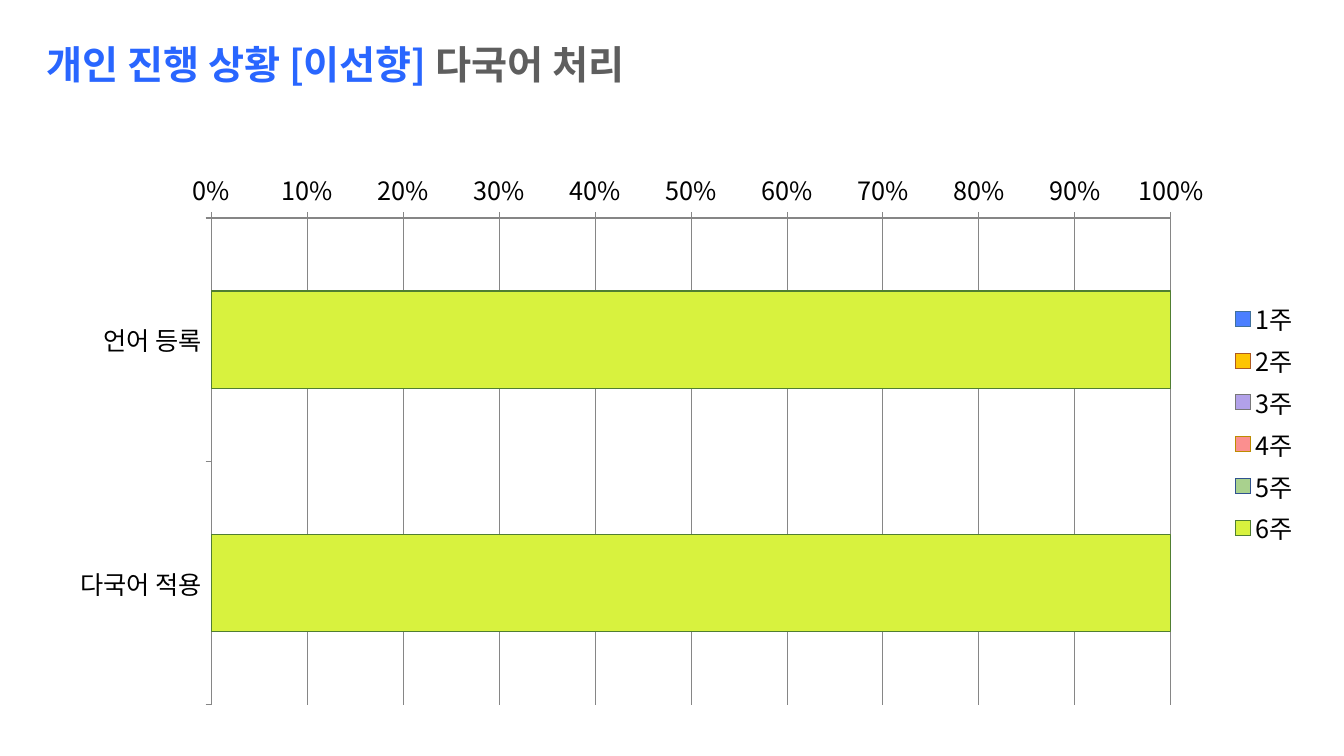
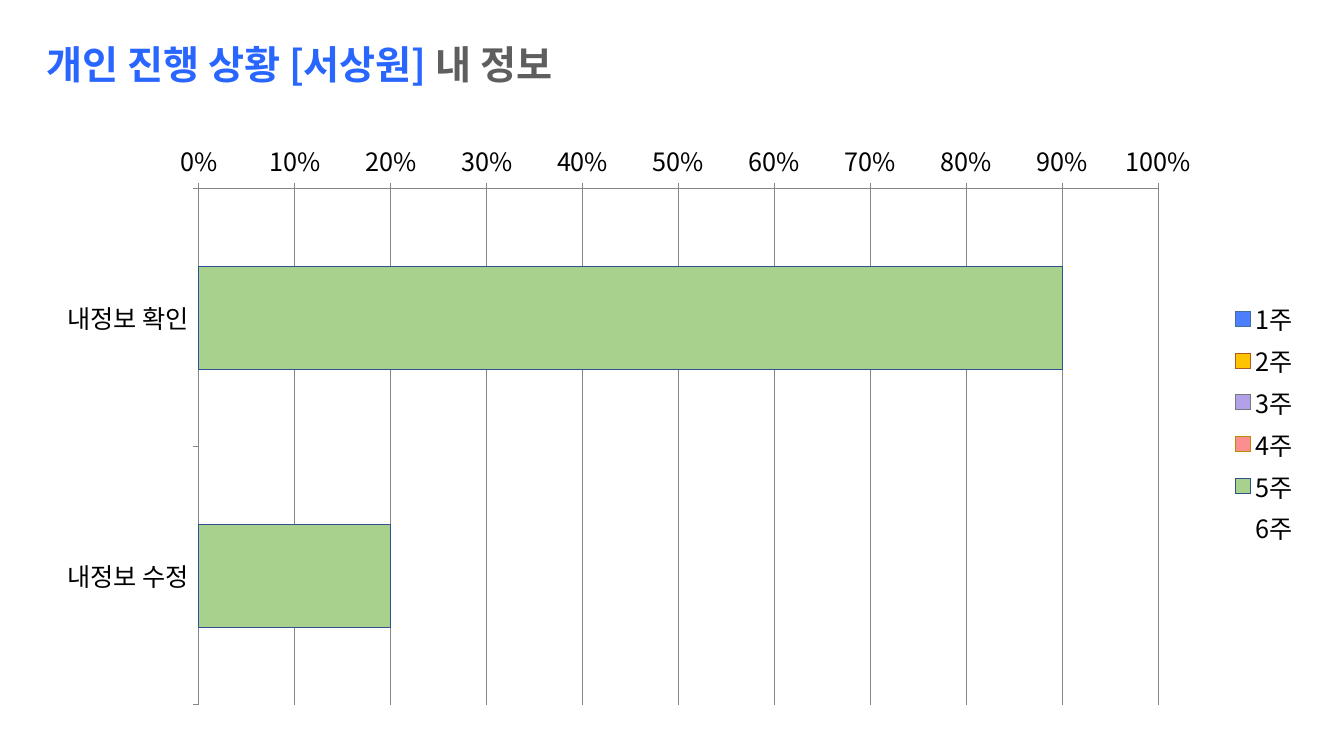
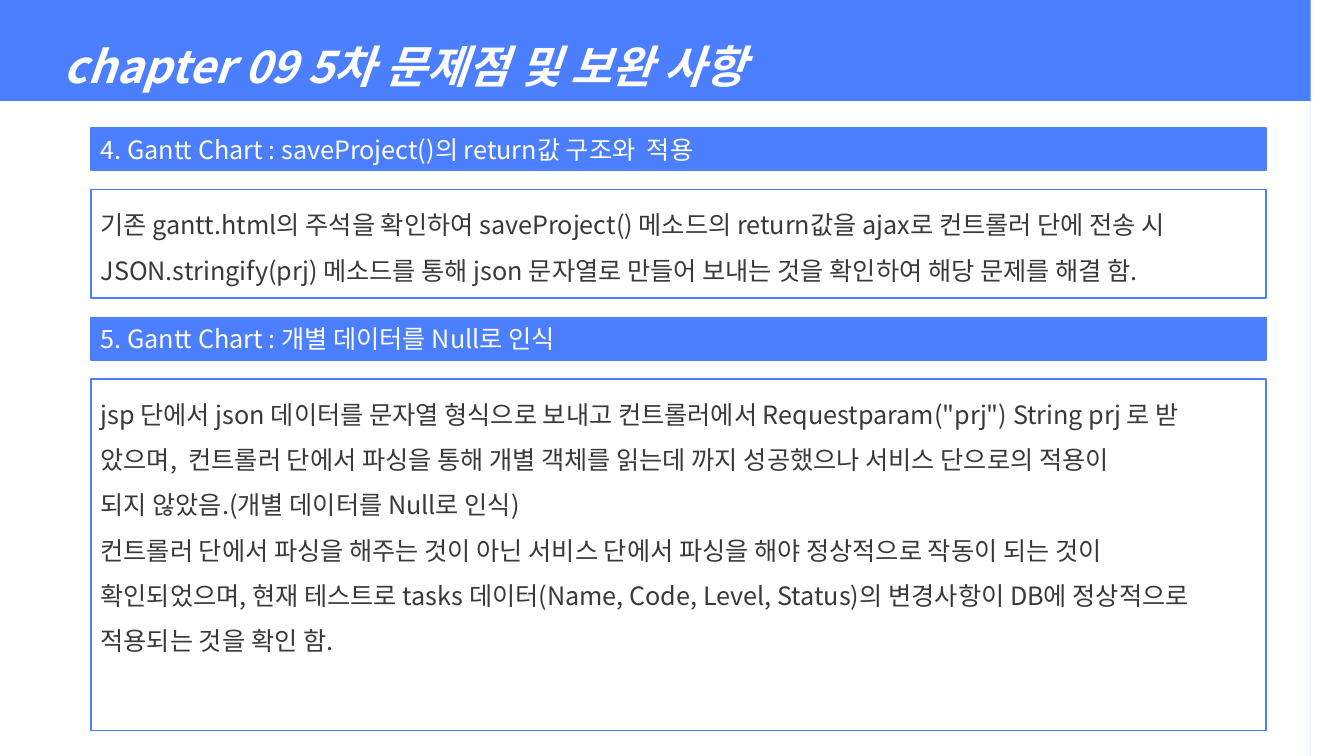
import dataclasses
import math

import lxml.etree
import pptx
import pptx.chart.data
import pptx.dml.color
import pptx.enum.chart
import pptx.enum.shapes
import pptx.enum.text
import pptx.oxml.ns
import pptx.util

SHAPE = pptx.enum.shapes.MSO_SHAPE
ANCHOR = pptx.enum.text.MSO_ANCHOR
WIDTH, HEIGHT = 13.33, 7.5
PERCENT_WIDTH, PERCENT_HEIGHT = WIDTH / 100, HEIGHT / 100


@dataclasses.dataclass(frozen=True)
class Theme:
    font: str = "Noto Sans CJK KR"
    blue: str = "4B7FFF"
    title_blue: str = "2966FF"
    title_gray: str = "5E5E5E"
    ink: str = "3B3838"
    white: str = "FFFFFF"
    black: str = "000000"
    axis: str = "868686"
    # Fill and outline of each week
    weeks: tuple = (
        ("4B7FFF", "41719C"), ("FEC402", "AE5A21"), ("B2A1E9", "787878"),
        ("FB8F8F", "BC8C00"), ("A9D18E", "2F528F"), ("D8F23E", "507E32"),
    )
    chapter_size: int = 32
    title_size: int = 28
    body_size: int = 18


THEME = Theme()


# Helpers for colour and place
def rgb(value):
    return pptx.dml.color.RGBColor.from_string(value)


def place(left, top, width, height):
    """Turn percentages of the slide into lengths."""
    return [pptx.util.Inches(share * unit) for share, unit in zip(
        (left, top, width, height), (PERCENT_WIDTH, PERCENT_HEIGHT) * 2)]


def add_tag(parent, tag, **attributes):
    return lxml.etree.SubElement(parent, pptx.oxml.ns.qn(tag), attributes)


# Text: each paragraph is a list of (words, colour) spans
def write(box, paragraphs, size=THEME.body_size, bold=False, italic=False,
          spacing=None, hanging=0, anchor=ANCHOR.TOP, inset=None):
    frame = box.text_frame
    frame.word_wrap = True
    frame.vertical_anchor = anchor
    if inset is not None:
        frame.margin_left = frame.margin_right = inset
        frame.margin_top = frame.margin_bottom = inset
    for index, spans in enumerate(paragraphs):
        para = frame.paragraphs[0] if index == 0 else frame.add_paragraph()
        para.alignment = pptx.enum.text.PP_ALIGN.LEFT
        if spacing:
            para.line_spacing = spacing
        if hanging:
            indent = pptx.util.Inches(hanging)
            properties = para._p.get_or_add_pPr()
            properties.set("marL", str(indent))
            properties.set("indent", str(-indent))
        for words, color in spans:
            span = para.add_run()
            span.text = words
            span.font.name = THEME.font
            span.font.size = pptx.util.Pt(size)
            span.font.bold, span.font.italic = bold, italic
            span.font.color.rgb = rgb(color)
            add_tag(span._r.get_or_add_rPr(), "a:ea", typeface=THEME.font)


def add_panel(page, area, kind=SHAPE.RECTANGLE, fill=None, line=None):
    panel = page.shapes.add_shape(kind, *place(*area))
    panel.shadow.inherit = False
    if fill:
        panel.fill.solid()
        panel.fill.fore_color.rgb = rgb(fill)
    else:
        panel.fill.background()
    if line:
        panel.line.color.rgb = rgb(line)
        panel.line.width = pptx.util.Pt(1.25)
    else:
        panel.line.fill.background()
    return panel


# Progress slides
def set_plot_area(chart, layout):
    plot_area = chart.element.find(".//" + pptx.oxml.ns.qn("c:plotArea"))
    for old in plot_area.findall(pptx.oxml.ns.qn("c:layout")):
        plot_area.remove(old)
    holder = add_tag(plot_area, "c:layout")
    plot_area.insert(0, holder)
    manual = add_tag(holder, "c:manualLayout")
    add_tag(manual, "c:layoutTarget", val="inner")
    for name in ("xMode", "yMode"):
        add_tag(manual, "c:" + name, val="edge")
    for name, share in zip("xywh", layout):
        add_tag(manual, "c:" + name, val=str(share))


def add_progress_chart(page, tasks, weekly, hidden, layout):
    data = pptx.chart.data.CategoryChartData()
    data.categories = tasks
    for week in range(1, len(THEME.weeks) + 1):
        data.add_series(f"{week}주", weekly.get(week, [None] * len(tasks)))
    chart = page.shapes.add_chart(
        pptx.enum.chart.XL_CHART_TYPE.BAR_STACKED_100,
        *place(3.53, 17.2, 93.92, 77.6), data).chart
    chart.has_title = False
    chart.font.name = THEME.font
    chart.font.size = pptx.util.Pt(THEME.body_size)
    chart.font.color.rgb = rgb(THEME.black)
    for properties in chart.element.xpath("c:txPr//a:defRPr"):
        add_tag(properties, "a:ea", typeface=THEME.font)

    # Bars
    plot = chart.plots[0]
    plot.gap_width, plot.overlap, plot.vary_by_categories = 150, 100, False
    for week, series in enumerate(plot.series, 1):
        if week in hidden:
            series.format.fill.background()
            series.format.line.fill.background()
            continue
        fill, outline = THEME.weeks[week - 1]
        series.format.fill.solid()
        series.format.fill.fore_color.rgb = rgb(fill)
        series.format.line.color.rgb = rgb(outline)
        series.format.line.width = pptx.util.Pt(0.75)

    # Axes and legend
    chart.category_axis.reverse_order = True
    chart.value_axis.has_major_gridlines = True
    labels = chart.value_axis.tick_labels
    labels.number_format, labels.number_format_is_linked = "0%", False
    for axis in (chart.category_axis, chart.value_axis):
        axis.major_tick_mark = pptx.enum.chart.XL_TICK_MARK.OUTSIDE
        axis.format.line.color.rgb = rgb(THEME.axis)
    chart.value_axis.major_gridlines.format.line.color.rgb = rgb(THEME.axis)
    chart.has_legend = True
    chart.legend.position = pptx.enum.chart.XL_LEGEND_POSITION.RIGHT
    chart.legend.include_in_layout = False
    set_plot_area(chart, layout)


def add_progress_page(page, person, topic, tasks, weekly, layout, hidden=()):
    add_progress_chart(page, tasks, weekly, hidden, layout)
    box = page.shapes.add_textbox(*place(3.45, 5.33, 56.94, 6.27))
    write(box, [[(f"개인 진행 상황 [{person}] ", THEME.title_blue),
                 (topic, THEME.title_gray)]],
          size=THEME.title_size, bold=True, inset=0)


# Chapter slide
def add_frame(page, side=0.48, top=1.02, radius=0.14, steps=12):
    """Blue border around a card with rounded upper corners."""
    def corner(center, start):
        angles = [math.radians(start - 90 * step / steps)
                  for step in range(steps + 1)]
        return [(center + radius * math.cos(angle),
                 top + radius - radius * math.sin(angle)) for angle in angles]

    right = WIDTH - side
    inner = corner(side + radius, 180) + corner(right - radius, 90)
    points = [(WIDTH, 0), (WIDTH, HEIGHT), (right, HEIGHT), *reversed(inner),
              (side, HEIGHT), (0, HEIGHT)]
    builder = page.shapes.build_freeform(0, 0, scale=pptx.util.Inches(1))
    builder.add_line_segments(points, close=True)
    border = builder.convert_to_shape()
    border.shadow.inherit = False
    border.fill.solid()
    border.fill.fore_color.rgb = rgb(THEME.blue)
    border.line.fill.background()


def add_chapter_page(page, title, sections):
    add_frame(page)
    banner = add_panel(page, (3.75, 0.93, 92.5, 11.6),
                       kind=SHAPE.ROUND_2_SAME_RECTANGLE)
    banner.adjustments[0] = 0.14
    write(banner, [[(title, THEME.white)]], size=THEME.chapter_size,
          bold=True, italic=True, spacing=1.5, anchor=ANCHOR.MIDDLE)
    left, width, header, gap = 6.75, 87.47, 5.6, 2.53
    top = 16.93
    for heading, height, lines in sections:
        bar = add_panel(page, (left, top, width, header),
                        fill=THEME.blue, line=THEME.blue)
        write(bar, [[(heading, THEME.white)]], anchor=ANCHOR.MIDDLE)
        top += header + gap
        panel = add_panel(page, (left, top, width, height),
                          fill=THEME.white, line=THEME.blue)
        write(panel, [[(line, THEME.ink)] for line in lines],
              spacing=1.5, hanging=0.38)
        top += height + gap


SECTIONS = [
    ("4. Gantt Chart : saveProject()의 return값 구조와  적용", 14.4, [
        "기존 gantt.html의 주석을 확인하여 saveProject() 메소드의 return값을 ajax로 컨트롤러 단에 전송 시",
        "JSON.stringify(prj) 메소드를 통해 json 문자열로 만들어 보내는 것을 확인하여 해당 문제를 해결 함.",
    ]),
    ("5. Gantt Chart : 개별 데이터를 Null로 인식", 46.53, [
        "jsp 단에서 json 데이터를 문자열 형식으로 보내고 컨트롤러에서 Requestparam(\"prj\") String prj 로 받",
        "았으며,  컨트롤러 단에서 파싱을 통해 개별 객체를 읽는데 까지 성공했으나 서비스 단으로의 적용이",
        "되지 않았음.(개별 데이터를 Null로 인식)",
        "컨트롤러 단에서 파싱을 해주는 것이 아닌 서비스 단에서 파싱을 해야 정상적으로 작동이 되는 것이",
        "확인되었으며, 현재 테스트로 tasks 데이터(Name, Code, Level, Status)의 변경사항이 DB에 정상적으로",
        "적용되는 것을 확인 함.",
    ]),
]


def main():
    deck = pptx.Presentation()
    deck.slide_width = pptx.util.Inches(WIDTH)
    deck.slide_height = pptx.util.Inches(HEIGHT)
    blank = deck.slide_layouts[6]

    add_progress_page(deck.slides.add_slide(blank), "이선향", "다국어 처리",
                      ["언어 등록", "다국어 적용"], {6: [100, 100]},
                      layout=(0.13, 0.15, 0.76, 0.83))
    add_progress_page(deck.slides.add_slide(blank), "서상원", "내 정보",
                      ["내정보 확인", "내정보 수정"],
                      {5: [90, 20], 6: [10, 80]},
                      layout=(0.12, 0.1, 0.76, 0.88), hidden=(6,))
    add_chapter_page(deck.slides.add_slide(blank),
                     "chapter 09 5차 문제점 및 보완 사항", SECTIONS)
    deck.save("out.pptx")


if __name__ == "__main__":
    main()
